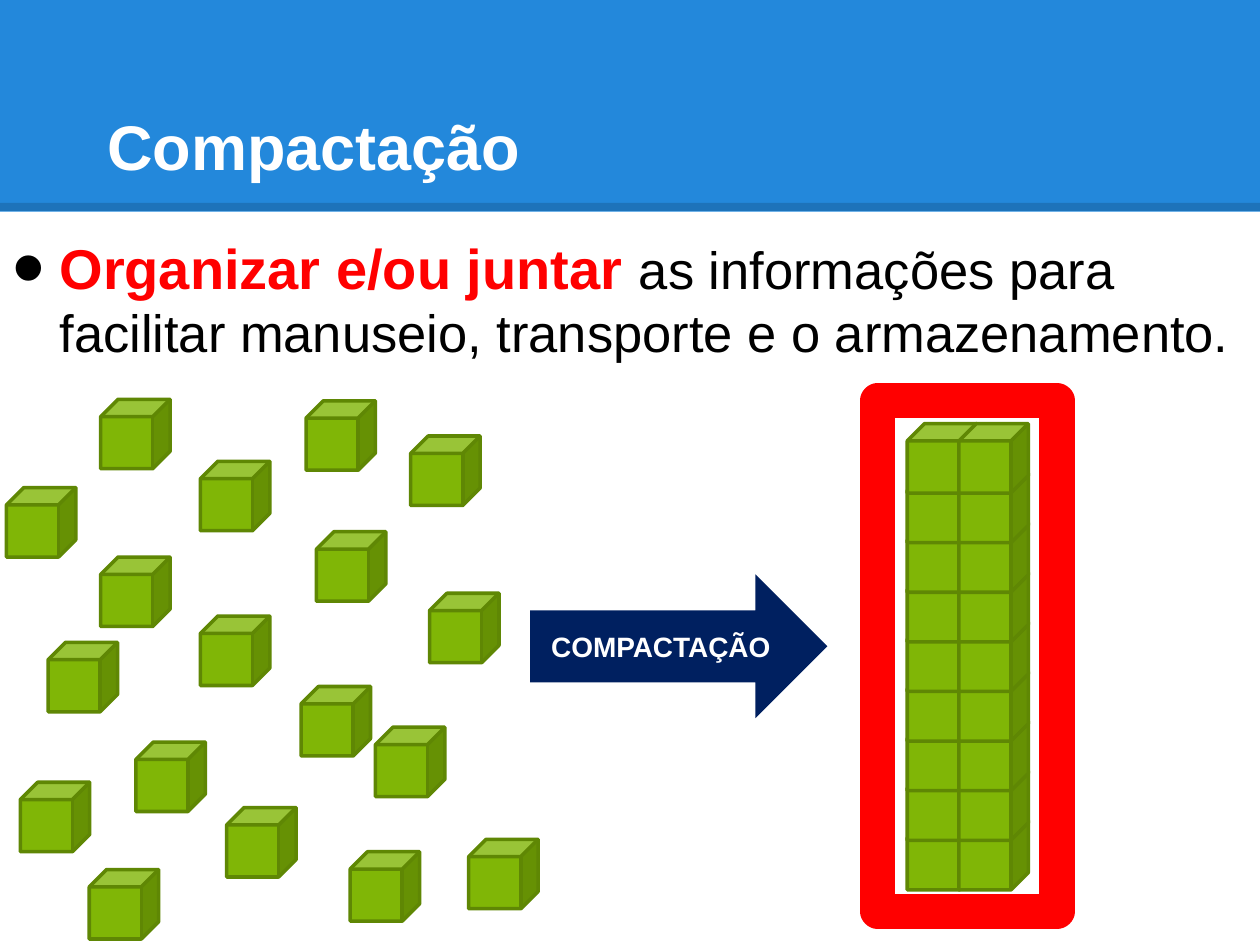
import dataclasses
import typing

import pptx
import pptx.dml.color
import pptx.enum.shapes
import pptx.enum.text
import pptx.oxml
import pptx.oxml.ns
import pptx.util

Cm = pptx.util.Cm
Pt = pptx.util.Pt
RGB = pptx.dml.color.RGBColor.from_string
MSO = pptx.enum.shapes.MSO_SHAPE
ANCHOR = pptx.enum.text.MSO_ANCHOR
qn = pptx.oxml.ns.qn
NS = pptx.oxml.ns.nsdecls("a")


@dataclasses.dataclass(frozen=True)
class Theme:
    font: str = "Arial"
    band: str = "2388DB"
    black: str = "000000"
    white: str = "FFFFFF"
    red: str = "FF0000"
    navy: str = "002060"
    cube: str = "80B606"
    cube_edge: str = "5F8704"
    title: int = 36
    strong: int = 32
    body: int = 30
    label: int = 16


@dataclasses.dataclass(frozen=True)
class Box:
    """Position and size in centimetres."""
    x: float
    y: float
    w: float
    h: float

    def emu(self) -> tuple:
        return Cm(self.x), Cm(self.y), Cm(self.w), Cm(self.h)


@dataclasses.dataclass(frozen=True)
class Run:
    text: str
    size: int
    color: str
    bold: bool


T = Theme()
CUBE = 1.4

LOOSE_CUBES = [
    (2.03, 8.05), (4.04, 9.3), (6.17, 8.08), (8.28, 8.79), (0.13, 9.83),
    (2.03, 11.23), (6.38, 10.72), (8.66, 11.96), (6.07, 13.84),
    (7.06, 17.17), (4.57, 16.28), (7.57, 14.66), (1.8, 17.53),
    (9.45, 16.92), (0.97, 12.95), (0.41, 15.77), (4.04, 12.42),
    (2.74, 14.96),
]
STACK_COLUMNS = (18.29, 19.33)
STACK_BOTTOM, STACK_STEP, STACK_ROWS = 16.54, 1.0, 9


def set_attrs(obj: typing.Any, values: dict) -> None:
    for name, value in values.items():
        setattr(obj, name, value)


def add_shape(s, kind, box: Box, fill: str, edge: str = "", width: float = 0):
    sp = s.shapes.add_shape(kind, *box.emu())
    sp.shadow.inherit = False
    sp.fill.solid()
    sp.fill.fore_color.rgb = RGB(fill)
    if edge:
        sp.line.color.rgb = RGB(edge)
        sp.line.width = Pt(width)
        sp.line._get_or_add_ln().append(pptx.oxml.parse_xml(f"<a:round {NS}/>"))
    else:
        sp.line.fill.background()
    return sp


def add_cube(s, x: float, y: float) -> None:
    add_shape(s, MSO.CUBE, Box(x, y, CUBE, CUBE), T.cube, T.cube_edge, 2)


def write(sp, runs: list, frame: dict):
    tf = sp.text_frame
    set_attrs(tf, {"word_wrap": True, **frame})
    p = tf.paragraphs[0]
    for item in runs:
        r = p.add_run()
        r.text = item.text
        set_attrs(r.font, {"name": T.font, "size": Pt(item.size), "bold": item.bold})
        r.font.color.rgb = RGB(item.color)
    return p


def add_text(s, box: Box, runs: list, anchor):
    margins = dict.fromkeys(
        ("margin_left", "margin_top", "margin_right", "margin_bottom"), Cm(0.25))
    sp = s.shapes.add_textbox(*box.emu())
    return write(sp, runs, {"vertical_anchor": anchor, **margins})


def add_bullet(p, indent: float) -> None:
    pPr = p._p.get_or_add_pPr()
    pPr.set("marL", str(Cm(indent)))
    pPr.set("indent", str(-Cm(indent)))
    for xml in (f'<a:buClr {NS}><a:srgbClr val="{T.black}"/></a:buClr>',
                f'<a:buSzPct {NS} val="167000"/>',
                f'<a:buFont {NS} typeface="{T.font}"/>',
                f'<a:buChar {NS} char="•"/>'):
        pPr.append(pptx.oxml.parse_xml(xml))


def add_band_edge(s, y: float) -> None:
    ln = s.shapes.add_connector(
        pptx.enum.shapes.MSO_CONNECTOR.STRAIGHT, 0, Cm(y), Cm(25.4), Cm(y))
    ln.line.color.rgb = RGB(T.black)
    ln.line.width = Pt(4.5)
    color = ln._element.spPr.find(".//" + qn("a:srgbClr"))
    color.append(pptx.oxml.parse_xml(f'<a:alpha {NS} val="15000"/>'))
    ln._element.spPr.append(pptx.oxml.parse_xml(f"<a:effectLst {NS}/>"))


prs = pptx.Presentation()
set_attrs(prs, {"slide_width": Cm(25.4), "slide_height": Cm(19.05)})
s = prs.slides.add_slide(prs.slide_layouts[6])

# Title band
add_shape(s, MSO.RECTANGLE, Box(0, 0, 25.4, 4.27), T.band)
add_band_edge(s, 4.17)
p = add_text(s, Box(1.27, 0.76, 22.86, 3.18),
             [Run("Compactação", T.title, T.white, True)], ANCHOR.BOTTOM)
p._p.get_or_add_pPr().set("indent", str(Cm(0.64)))

# Frame around the stack
add_shape(s, MSO.RECTANGLE, Box(17.7, 8.08, 3.61, 10.29), T.white, T.red, 20)

# Definition
p = add_text(s, Box(0, 4.45, 25.1, 13.79), [
    Run("Organizar e/ou juntar ", T.strong, T.red, True),
    Run("as informações para facilitar manuseio, transporte e o armazenamento.",
        T.body, T.black, False),
], ANCHOR.TOP)
p.space_before = Pt(6)
add_bullet(p, 0.95)

# Loose cubes
for x, y in LOOSE_CUBES:
    add_cube(s, x, y)

# Arrow
arrow = add_shape(s, MSO.RIGHT_ARROW, Box(10.69, 11.58, 5.99, 2.9), T.navy)
p = write(arrow, [Run("COMPACTAÇÃO", T.label, T.white, True)],
          {"vertical_anchor": ANCHOR.MIDDLE})
p.alignment = pptx.enum.text.PP_ALIGN.CENTER

# Stacked cubes, bottom to top in each column
for x in STACK_COLUMNS:
    for row in range(STACK_ROWS):
        add_cube(s, x, STACK_BOTTOM - row * STACK_STEP)

prs.save("out.pptx")
